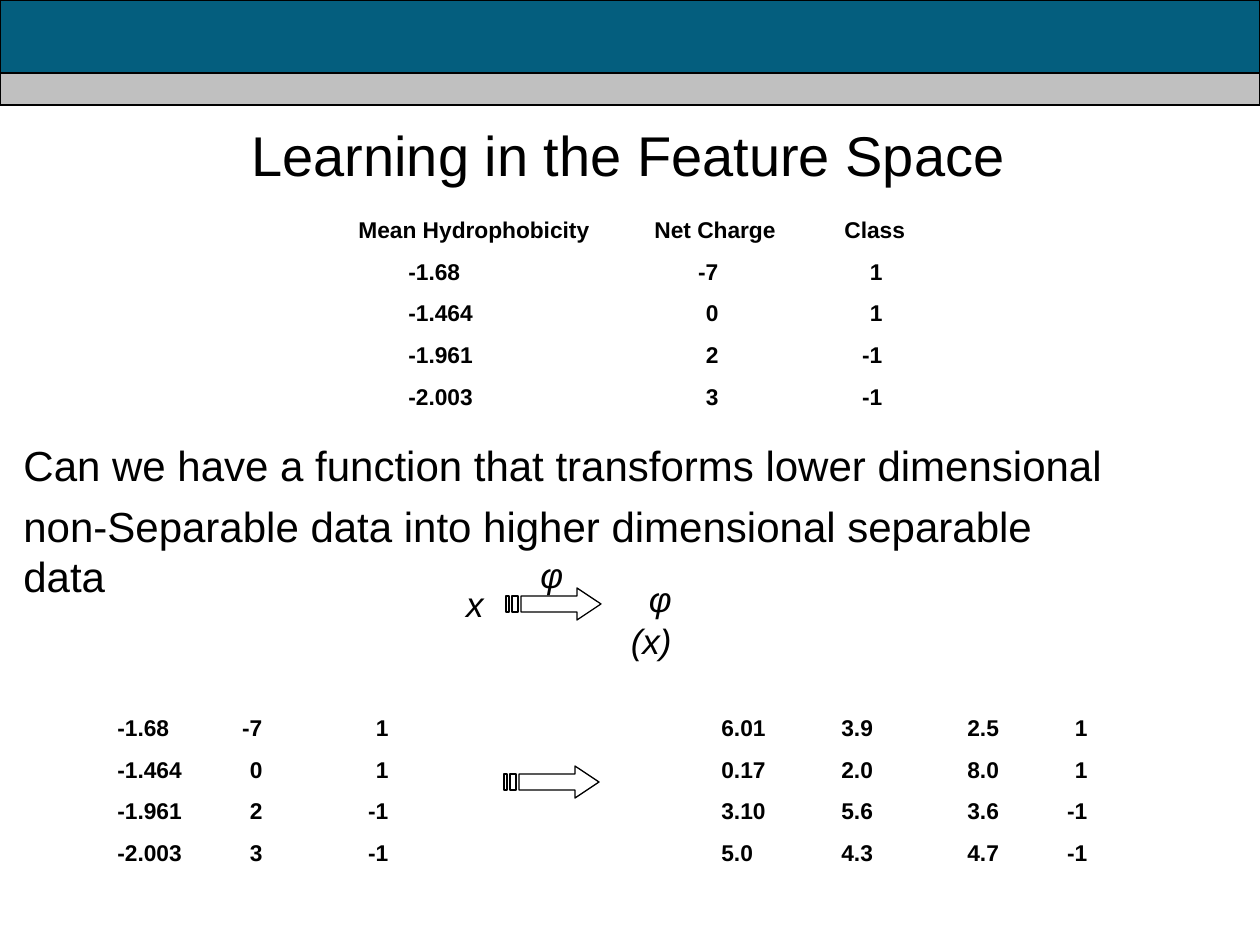
from lxml.etree import SubElement
from pptx import Presentation
from pptx.dml.color import RGBColor
from pptx.enum.shapes import MSO_SHAPE
from pptx.enum.text import MSO_ANCHOR, MSO_AUTO_SIZE, PP_ALIGN
from pptx.oxml.ns import qn
from pptx.util import Emu, Pt

PX = 914400 / 126
COLORS = {"teal": "045E7E", "grey": "C0C0C0", "black": "000000"}


def px(value):
    return Emu(round(value * PX))


def add_text(box, lines, size, align=PP_ALIGN.LEFT, space=0, tabs=(), wrap=True):
    """Add a text box; tabs holds, per line, (px, "l" or "r") tab stops."""
    shape = slide.shapes.add_textbox(*map(px, box))
    frame = shape.text_frame
    frame.text = "\n".join(lines)
    frame.word_wrap = wrap
    frame.auto_size = MSO_AUTO_SIZE.SHAPE_TO_FIT_TEXT
    for index, paragraph in enumerate(frame.paragraphs):
        paragraph.alignment = align
        if index and space:
            paragraph.space_before = Pt(space)
        if tabs:
            tab_list = SubElement(paragraph._p.get_or_add_pPr(), qn("a:tabLst"))
            for position, kind in tabs[index]:
                SubElement(tab_list, qn("a:tab"), pos=str(px(position)), algn=kind)
        for run in paragraph.runs:
            run.font.name = "Arial"
            run.font.size = Pt(size)
            run.font.color.rgb = RGBColor.from_string(COLORS["black"])
    return shape


presentation = Presentation()
presentation.slide_width = px(1260)
presentation.slide_height = px(945)
slide = presentation.slides.add_slide(presentation.slide_layouts[6])

# Header bands
for top, height, color in [(0, 105, "teal"), (73, 32, "grey")]:
    band = slide.shapes.add_shape(MSO_SHAPE.RECTANGLE, px(0), px(top), px(1260), px(height))
    band.shadow.inherit = False
    band.fill.solid()
    band.fill.fore_color.rgb = RGBColor.from_string(COLORS[color])
    band.line.color.rgb = RGBColor.from_string(COLORS["black"])
    band.line.width = Pt(0.75)

title = add_text((31, 95, 1195, 118), ["Learning in the Feature Space"], 32, PP_ALIGN.CENTER)
title.text_frame.auto_size = MSO_AUTO_SIZE.NONE
title.text_frame.vertical_anchor = MSO_ANCHOR.MIDDLE

# Data listings, aligned with tab stops
samples = [("-1.68", "-7", "1"), ("-1.464", "0", "1"), ("-1.961", "2", "-1"), ("-2.003", "3", "-1")]
features = [("6.01", "3.9", "2.5", "1"), ("0.17", "2.0", "8.0", "1"),
            ("3.10", "5.6", "3.6", "-1"), ("5.0", "4.3", "4.7", "-1")]
sample_lines = ["\t".join(row) for row in samples]
header_tabs = [(296, "l"), (486, "l")]
row_tabs = [(50, "l"), (360, "r"), (524, "r")]
feature_tabs = [(6, "l"), (126, "l"), (252, "l"), (372, "r")]
listings = [
    ((346, 210, 609, 207),
     ["Mean Hydrophobicity\tNet Charge\tClass"] + ["\t" + line for line in sample_lines],
     [header_tabs] + [row_tabs] * 4),
    ((105, 708, 305, 165), sample_lines, [[(145, "r"), (271, "r")]] * 4),
    ((703, 708, 514, 165), ["\t" + "\t".join(row) for row in features], [feature_tabs] * 4),
]
for box, lines, tabs in listings:
    listing = add_text(box, lines, 13, space=8.1, tabs=tabs)
    for paragraph in listing.text_frame.paragraphs:
        for run in paragraph.runs:
            run.font.bold = True

add_text((11, 433, 1126, 125),
         ["Can we have a function that transforms lower dimensional",
          "non-Separable data into higher dimensional separable data"],
         24, space=6, wrap=False)

# Mapping x -> φ (x)
for box, symbol in [((453, 576, 43, 55), "x"), ((591, 571, 93, 55), "φ (x)"),
                    ((528, 547, 43, 55), "φ")]:
    label = add_text(box, [symbol], 20, PP_ALIGN.RIGHT)
    label.text_frame.paragraphs[0].runs[0].font.italic = True

# Striped arrows: a head with its shaft, then two stripes
arrow_body = [(71, 0), (71, 8), (15, 8), (15, 24), (71, 24), (71, 32), (95, 16)]
stripes = [[(left, 8), (left, 24), (right, 24), (right, 8)] for left, right in [(6, 12), (0, 3)]]
for left, top in [(506, 588), (504, 766)]:
    outlines = [[(left + x, top + y) for x, y in outline] for outline in [arrow_body, *stripes]]
    builder = slide.shapes.build_freeform(*outlines[0][0], scale=PX)
    builder.add_line_segments(outlines[0][1:], close=True)
    for outline in outlines[1:]:
        builder.move_to(*outline[0])
        builder.add_line_segments(outline[1:], close=True)
    arrow = builder.convert_to_shape()
    arrow.shadow.inherit = False
    arrow.fill.background()
    arrow.line.color.rgb = RGBColor.from_string(COLORS["black"])
    arrow.line.width = Pt(0.75)

presentation.save("out.pptx")
